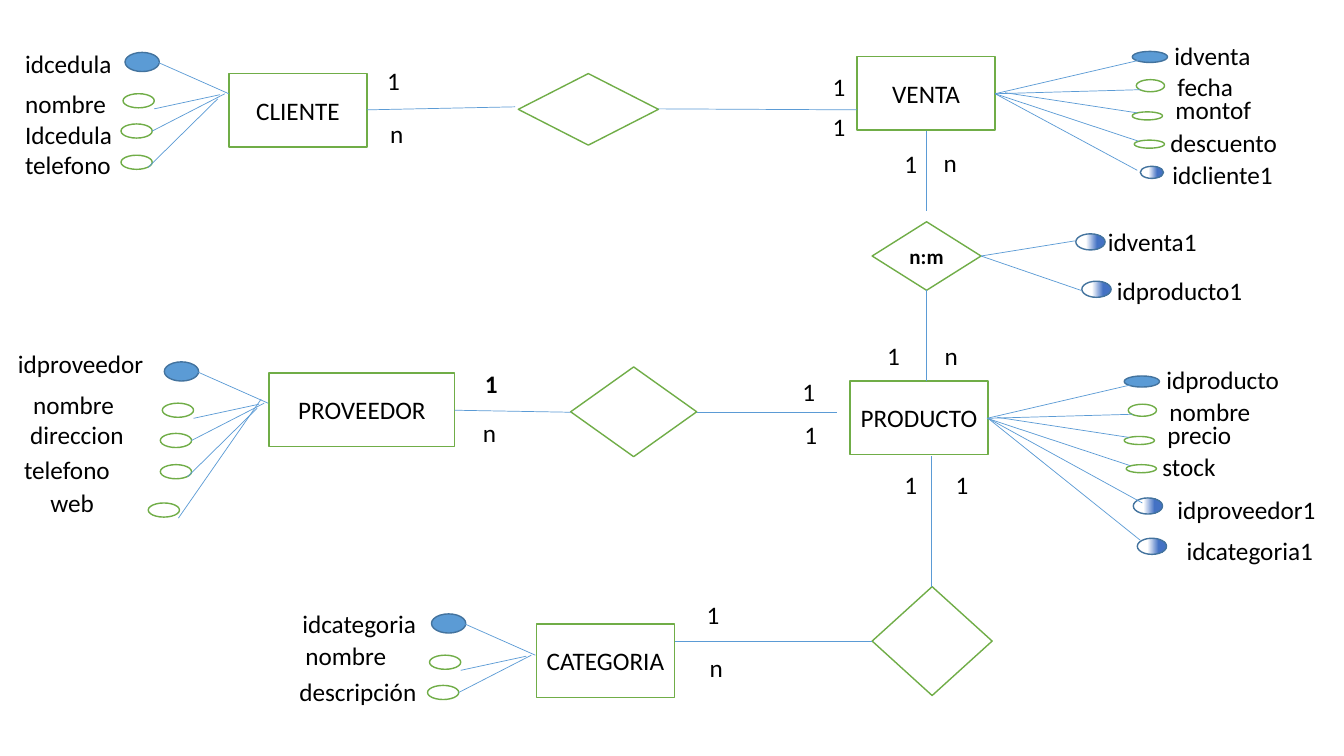
from dataclasses import dataclass

from lxml.etree import SubElement
from pptx import Presentation
from pptx.dml.color import RGBColor
from pptx.enum.shapes import MSO_CONNECTOR as Connector, MSO_SHAPE as Preset
from pptx.enum.text import MSO_ANCHOR as Anchor, PP_ALIGN as Align
from pptx.oxml.ns import qn
from pptx.util import Inches, Pt


@dataclass(frozen=True)
class Theme:
    font: str = "Calibri"
    body: float = 18
    small: float = 15
    outline: float = 1
    thin: float = 0.5
    text: str = "000000"
    paper: str = "FFFFFF"
    green: str = "70AD47"
    blue: str = "5B9BD5"
    navy: str = "43739E"
    deep: str = "4472C4"


class Diagram:
    """Draws entity-relationship elements on one slide in one style."""

    def __init__(self, slide, theme):
        self.slide = slide
        self.theme = theme

    def set_text(self, shape, text, size, bold=False, align=Align.LEFT):
        frame = shape.text_frame
        frame.word_wrap = True
        frame.text = text
        paragraph = frame.paragraphs[0]
        paragraph.alignment = align
        font = paragraph.runs[0].font
        font.name, font.size, font.bold = self.theme.font, Pt(size), bold
        font.color.rgb = RGBColor.from_string(self.theme.text)

    def label(self, text, left, top, width=1.62, bold=False):
        box = self.slide.shapes.add_textbox(Inches(left), Inches(top), Inches(width), Inches(0.4))
        self.set_text(box, text, self.theme.body, bold)

    def shape(self, preset, left, top, width, height, fill, line):
        shape = self.slide.shapes.add_shape(
            preset, Inches(left), Inches(top), Inches(width), Inches(height))
        shape.shadow.inherit = False
        shape.fill.solid()
        shape.fill.fore_color.rgb = RGBColor.from_string(fill)
        shape.line.color.rgb = RGBColor.from_string(line)
        shape.line.width = Pt(self.theme.outline)
        return shape

    def node(self, preset, text, left, top, width, height, size, bold=False):
        shape = self.shape(preset, left, top, width, height, self.theme.paper, self.theme.green)
        if text:
            frame = shape.text_frame
            frame.margin_left = frame.margin_right = Inches(0.05)
            frame.vertical_anchor = Anchor.MIDDLE
            self.set_text(shape, text, size, bold, Align.CENTER)

    def entity(self, text, left, top, width=1.37):
        self.node(Preset.RECTANGLE, text, left, top, width, 0.73, self.theme.body)

    def relation(self, left, top, width, height, text=""):
        self.node(Preset.FLOWCHART_DECISION, text, left, top, width, height, self.theme.small, True)

    def key(self, left, top, width, height):
        self.shape(Preset.OVAL, left, top, width, height, self.theme.blue, self.theme.navy)

    def attribute(self, left, top, width, height):
        self.shape(Preset.OVAL, left, top, width, height, self.theme.paper, self.theme.green)

    def foreign_key(self, left, top, width, height):
        shape = self.shape(Preset.OVAL, left, top, width, height, self.theme.paper, self.theme.navy)
        shape.fill.gradient()
        shape.fill.gradient_angle = 0
        stops = ((0.35, self.theme.paper), (0.73, self.theme.deep))
        for stop, (position, color) in zip(shape.fill.gradient_stops, stops):
            stop.position = position
            stop.color.rgb = RGBColor.from_string(color)

    def link(self, x1, y1, x2, y2):
        line = self.slide.shapes.add_connector(
            Connector.STRAIGHT, Inches(x1), Inches(y1), Inches(x2), Inches(y2))
        line.line.color.rgb = RGBColor.from_string(self.theme.blue)
        line.line.width = Pt(self.theme.thin)
        SubElement(line._element.spPr, qn("a:effectLst"))

    def cluster(self, left, top, ovals, links):
        for index, (x, y, width, height) in enumerate(ovals):
            draw = self.attribute if index else self.key
            draw(left + x, top + y, width, height)
        for x1, y1, x2, y2 in links:
            self.link(left + x1, top + y1, left + x2, top + y2)


ENTITIES = [("CLIENTE", 2.27, 0.73), ("VENTA", 8.5, 0.56), ("PROVEEDOR", 2.67, 3.7, 1.84),
            ("PRODUCTO", 8.43, 3.78), ("CATEGORIA", 5.32, 6.19)]

RELATIONS = [(5.14, 0.73, 1.39, 0.71), (8.65, 2.2, 1.08, 0.68, "n:m"),
             (5.66, 3.64, 1.25, 0.89), (8.65, 5.82, 1.19, 1.08)]

RELATION_LINKS = [(3.64, 1.09, 5.11, 1.06), (6.53, 1.08, 8.5, 1.09), (9.19, 2.09, 9.19, 1.3),
                  (9.19, 2.88, 9.19, 3.78), (5.66, 4.09, 4.51, 4.07), (6.91, 4.09, 8.3, 4.09),
                  (9.24, 5.82, 9.24, 4.52), (8.65, 6.36, 6.69, 6.36)]

LEFT_OVALS = [(0, 0, 0.34, 0.19), (-0.02, 0.41, 0.31, 0.14), (-0.04, 0.71, 0.31, 0.14),
              (-0.04, 1.02, 0.31, 0.14), (-0.16, 1.4, 0.31, 0.14)]
LEFT_LINKS = [(0.33, 0.1, 1.03, 0.41), (0.29, 0.56, 0.94, 0.42), (0.27, 0.78, 0.99, 0.41),
              (0.23, 1.14, 0.92, 0.46), (0.14, 1.55, 0.96, 0.37)]
LEFT_CLUSTERS = [
    (1.24, 0.52, [("idcedula", 0.15, 0.43), ("nombre", 0.15, 0.83),
                  ("Idcedula", 0.15, 1.13), ("telefono", 0.15, 1.43)]),
    (1.63, 3.59, [("idproveedor", 0.08, 3.41), ("nombre", 0.23, 3.81), ("direccion", 0.2, 4.11),
                  ("telefono", 0.14, 4.46), ("web", 0.4, 4.79)]),
    (4.28, 6.09, [("idcategoria", 2.9, 5.99), ("nombre", 2.93, 6.3), ("descripción", 2.87, 6.66)]),
]

RIGHT_OVALS = [(0, 0, 0.35, 0.11), (0.04, 0.28, 0.28, 0.12),
               (0, 0.6, 0.3, 0.08), (0.02, 0.88, 0.3, 0.08)]
RIGHT_LINKS = [(-1.36, 0.42, 0.06, 0.09), (-1.36, 0.42, 0.08, 0.38),
               (-1.26, 0.41, 0.05, 0.61), (-1.36, 0.42, 0.06, 0.89)]
RIGHT_LABELS = [(0.32, -0.16), (0.35, 0.15), (0.33, 0.38), (0.28, 0.7)]
RIGHT_CLUSTERS = [(11.23, 0.51, ["idventa", "fecha", "montof", "descuento"]),
                  (11.15, 3.73, ["idproducto", "nombre", "precio", "stock"])]

FOREIGN_KEYS = [
    ("idcliente1", (11.53, 1.53), (11.31, 1.65, 0.23, 0.12), (9.87, 0.93, 11.28, 1.69)),
    ("idventa1", (10.89, 2.2), (10.67, 2.32, 0.29, 0.16), (9.73, 2.54, 10.66, 2.39)),
    ("idproducto1", (10.98, 2.68), (10.73, 2.79, 0.29, 0.16), (9.73, 2.54, 10.72, 2.88)),
    ("idproveedor1", (11.58, 4.86), (11.24, 4.94, 0.29, 0.16), (9.8, 4.15, 11.33, 4.99)),
    ("idcategoria1", (11.67, 5.26), (11.28, 5.34, 0.29, 0.16), (9.8, 4.15, 11.31, 5.36)),
]

CARDINALITIES = [
    ("1", 3.74, 0.6), ("n", 3.77, 1.12), ("1", 8.16, 0.66), ("1", 8.16, 1.06),
    ("1", 8.87, 1.42), ("n", 9.26, 1.41), ("1", 8.7, 3.33), ("n", 9.27, 3.33),
    ("1", 4.71, 3.61, 0.38, True), ("n", 4.69, 4.09), ("1", 7.86, 3.68), ("1", 7.88, 4.11),
    ("1", 8.87, 4.61), ("1", 9.38, 4.61), ("1", 6.91, 5.9), ("n", 6.94, 6.42),
]


def main():
    presentation = Presentation()
    presentation.slide_width, presentation.slide_height = Inches(13.33), Inches(7.5)
    slide = presentation.slides.add_slide(presentation.slide_layouts[6])
    diagram = Diagram(slide, Theme())
    for entity in ENTITIES:
        diagram.entity(*entity)
    for relation in RELATIONS:
        diagram.relation(*relation)
    for link in RELATION_LINKS:
        diagram.link(*link)
    for left, top, labels in LEFT_CLUSTERS:
        count = len(labels)
        diagram.cluster(left, top, LEFT_OVALS[:count], LEFT_LINKS[:count])
        for label in labels:
            diagram.label(*label)
    for left, top, names in RIGHT_CLUSTERS:
        diagram.cluster(left, top, RIGHT_OVALS, RIGHT_LINKS)
        for name, (x, y) in zip(names, RIGHT_LABELS):
            diagram.label(name, left + x, top + y)
    for name, place, oval, link in FOREIGN_KEYS:
        diagram.foreign_key(*oval)
        diagram.link(*link)
        diagram.label(name, *place)
    for text, left, top, *style in CARDINALITIES:
        diagram.label(text, left, top, *(style or [0.38]))
    presentation.save("out.pptx")


main()
